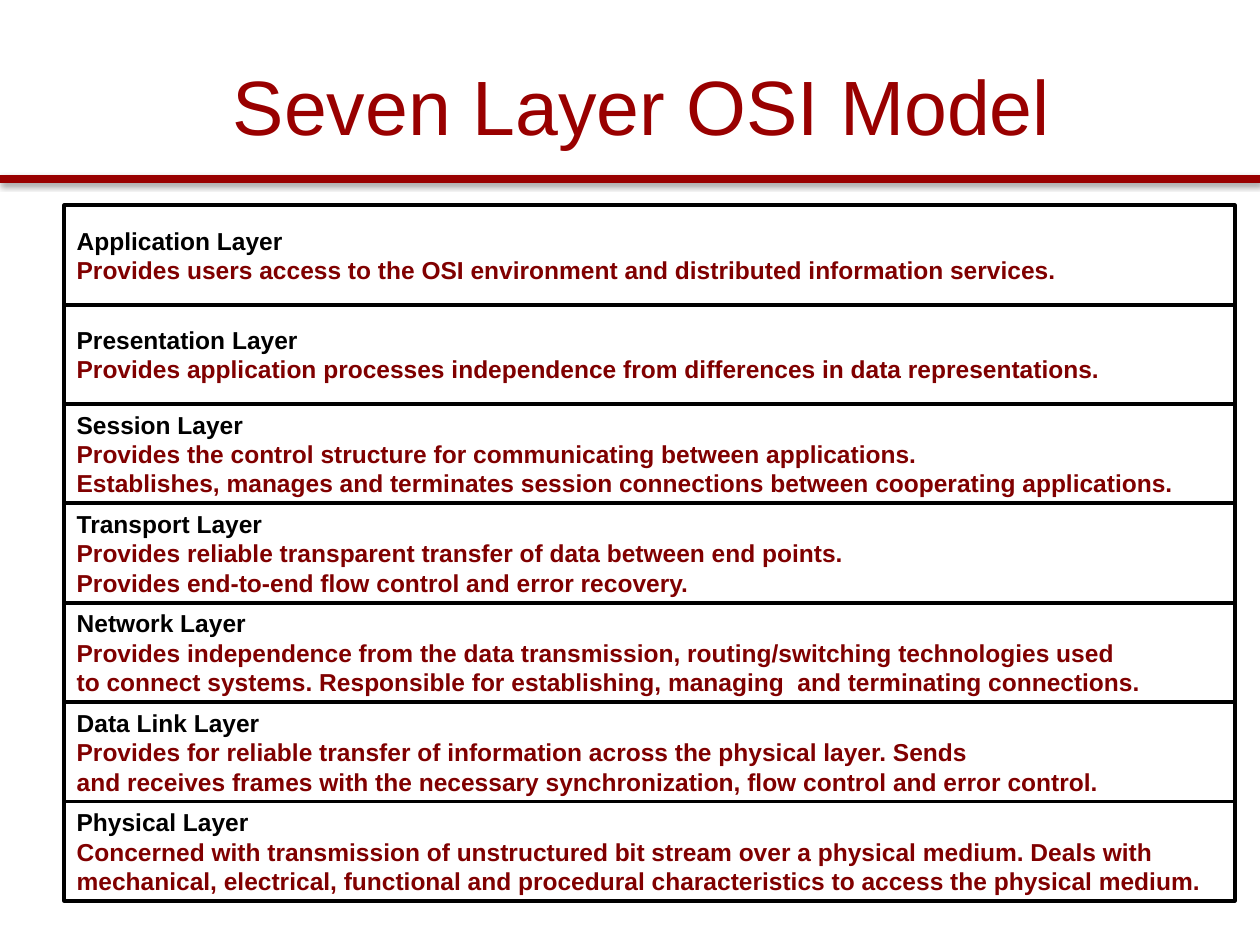
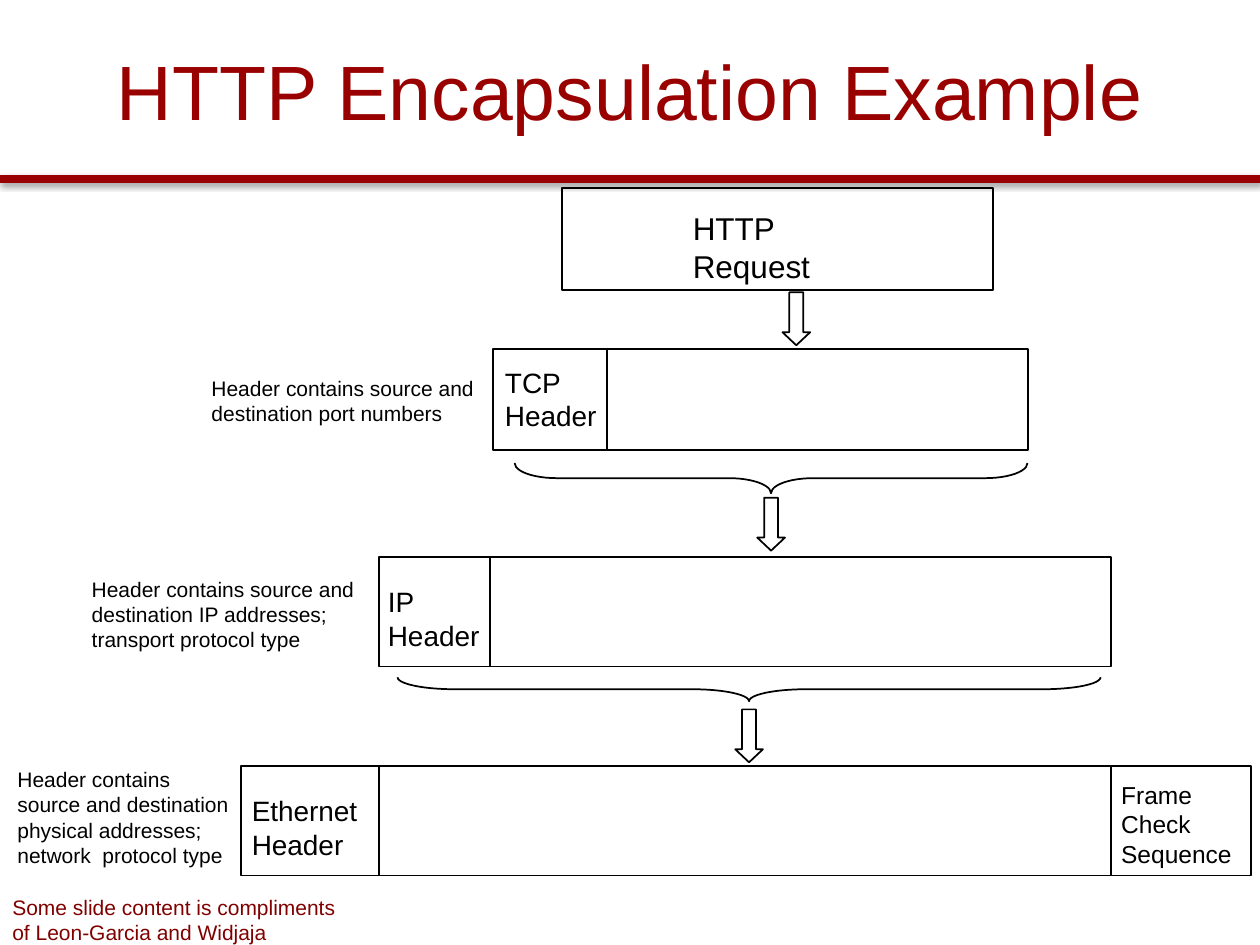
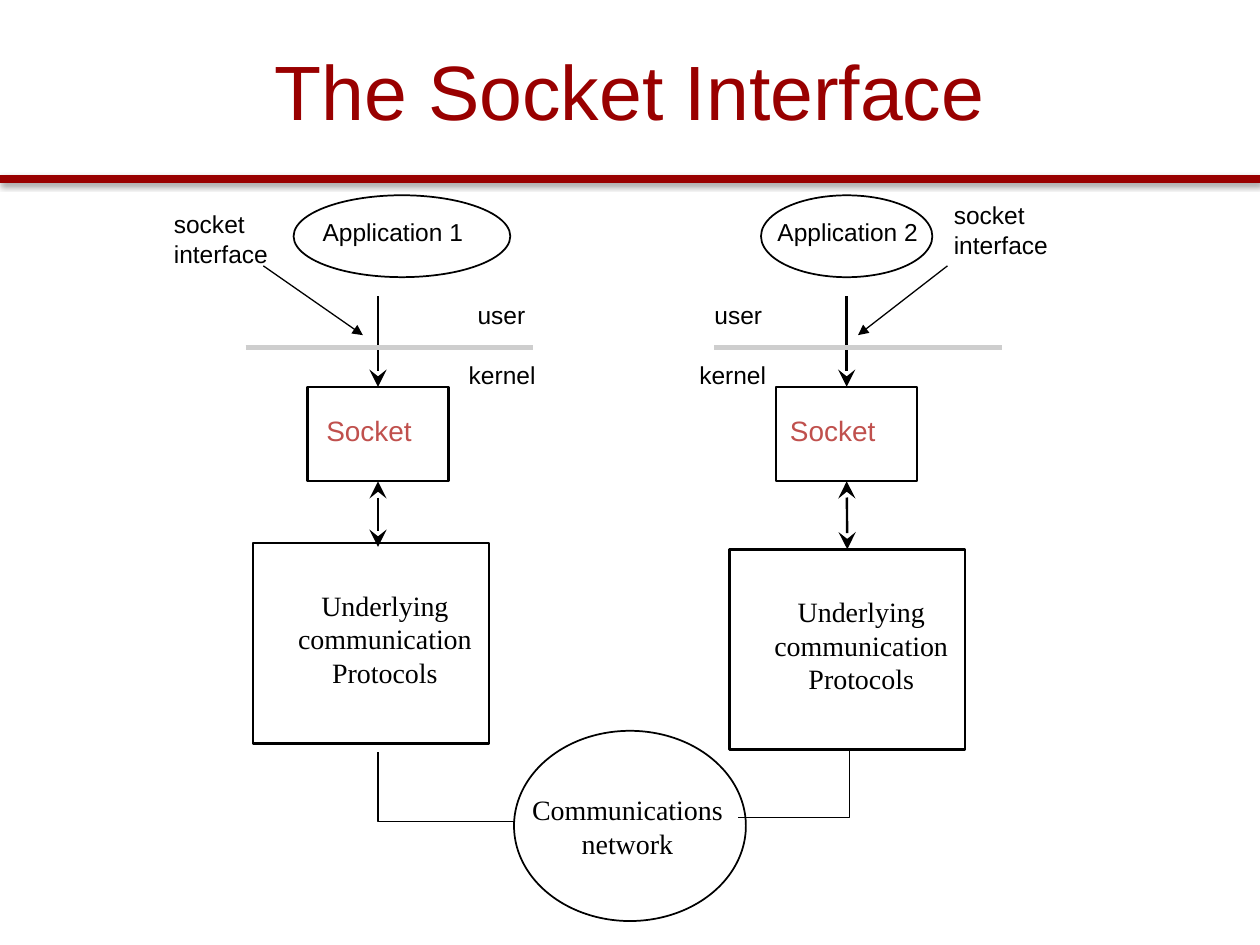
from typing import NamedTuple

from lxml.etree import SubElement
from pptx import Presentation
from pptx.dml.color import RGBColor
from pptx.enum.shapes import MSO_CONNECTOR, MSO_SHAPE as Preset
from pptx.enum.text import MSO_ANCHOR as Anchor, PP_ALIGN as Align
from pptx.oxml.ns import qn
from pptx.util import Inches, Pt

COLUMNS, ROWS = 100, 75
CELL = Inches(0.1)
BLACK = RGBColor(0x00, 0x00, 0x00)
CRIMSON = RGBColor(0x99, 0x00, 0x00)
MAROON = RGBColor(0x80, 0x00, 0x00)
BRICK = RGBColor(0xC0, 0x50, 0x4D)
SILVER = RGBColor(0xCE, 0xCE, 0xCE)
SANS, SERIF = "Arial", "Times New Roman"
BAND_ROW = 14.2
AXIS = 17


class Box(NamedTuple):
    """A region measured in grid columns and rows."""
    left: float
    top: float
    width: float
    height: float

    def inner(self, left, top, width, height):
        """Return a region placed from this one's corner."""
        return Box(self.left + left, self.top + top, width, height)

    def point(self, column, row):
        """Return a grid point placed from this region's corner."""
        return self.left + column, self.top + row


class Layer(NamedTuple):
    """One protocol unit; its parts are placed from the frame's corner."""
    frame: Box
    header: str
    header_box: Box
    dividers: tuple
    note: str
    note_box: Box


class Station(NamedTuple):
    """One computer; its parts are placed from the region's corner."""
    region: Box
    application: str
    bubble: Box
    application_column: float
    socket_column: float
    user_column: float
    kernel_column: float
    protocols: Box
    interface: tuple
    pointer: tuple
    cable: tuple


OSI_LAYERS = (
    "Application Layer\nProvides users access to the OSI environment and distributed information services.",
    "Presentation Layer\nProvides application processes independence from differences in data representations.",
    "Session Layer\nProvides the control structure for communicating between applications.\n"
    "Establishes, manages and terminates session connections between cooperating applications.",
    "Transport Layer\nProvides reliable transparent transfer of data between end points.\n"
    "Provides end-to-end flow control and error recovery.",
    "Network Layer\nProvides independence from the data transmission, routing/switching technologies used\n"
    "to connect systems. Responsible for establishing, managing  and terminating connections.",
    "Data Link Layer\nProvides for reliable transfer of information across the physical layer. Sends\n"
    "and receives frames with the necessary synchronization, flow control and error control.",
    "Physical Layer\nConcerned with transmission of unstructured bit stream over a physical medium. Deals with\n"
    "mechanical, electrical, functional and procedural characteristics to access the physical medium.",
)

TCP = Layer(Box(39.1, 27.7, 42.5, 8), "TCP Header", Box(0, 0.8, 10.3, 6.3), (9.1,),
            "Header contains source and destination port numbers", Box(-23.3, 1.6, 23.1, 5))
IP = Layer(Box(30.1, 44.2, 58.1, 8.7), "IP Header", Box(-0.3, 1.7, 9.9, 6.3), (8.8,),
           "Header contains source and destination IP addresses; transport protocol type",
           Box(-23.8, 1, 23.6, 7.1))
ETHERNET = Layer(Box(19.1, 60.8, 80.2, 8.7), "Ethernet Header", Box(-0.1, 1.7, 11.6, 6.3), (11, 69.1),
                 "Header contains source and destination physical addresses; network  protocol type",
                 Box(-18.7, -0.5, 19, 9.1))

STATIONS = (
    Station(Box(13, 15, 32, 52), "Application 1", Box(10.3, 0.5, 17.2, 6.5), 12.6, 12.9, 24.9, 24.2,
            Box(7.1, 28.1, 18.7, 15.9), (0.8, 1.6), ((7.9, 6.1), (15.8, 11.6)),
            ((17, 44.7), (17, 50.2), (27.8, 50.2))),
    Station(Box(50.2, 15, 34, 52), "Application 2", Box(10.2, 0.5, 13.6, 6.5), 11.5, 12.5, 6.5, 5.3,
            Box(7.7, 28.6, 18.7, 15.9), (25.5, 0.9), ((25, 6.1), (17.9, 11.6)),
            ((17.2, 44.6), (17.2, 49.9), (8.4, 49.9))),
)


def emu(lengths):
    """Turn grid lengths into slide units."""
    return [round(length * CELL) for length in lengths]


def write(holder, text, size=14, color=BLACK, lead_color=None, font=SANS, bold=False,
          align=Align.LEFT, anchor=Anchor.TOP, inset=(0.1, 0.05)):
    """Fill a shape with formatted text, one paragraph per line."""
    frame = holder.text_frame
    frame.word_wrap = True
    frame.vertical_anchor = anchor
    frame.margin_left = frame.margin_right = Inches(inset[0])
    frame.margin_top = frame.margin_bottom = Inches(inset[1])
    frame.text = text
    for index, paragraph in enumerate(frame.paragraphs):
        paragraph.alignment = align
        paragraph.font.size = Pt(size)
        paragraph.font.name = font
        paragraph.font.bold = bold
        paragraph.font.color.rgb = lead_color if lead_color is not None and index == 0 else color


def label(slide, text, box, **style):
    """Add a text box."""
    write(slide.shapes.add_textbox(*emu(box)), text, **style)


def outline(shape, width):
    """Give a shape a plain black outline and no fill."""
    shape.shadow.inherit = False
    shape.fill.background()
    shape.line.color.rgb = BLACK
    shape.line.width = Pt(width)
    return shape


def draw(slide, preset, box, width=1.0):
    """Add an outlined preset shape."""
    return outline(slide.shapes.add_shape(preset, *emu(box)), width)


def connect(slide, start, end, width=1.0, color=BLACK, head=None, tail=None, size="med",
            source=None, target=None):
    """Add a straight line, joined to a source's bottom or a target's top."""
    line = slide.shapes.add_connector(MSO_CONNECTOR.STRAIGHT, *emu(start + end))
    if source is not None:
        line.begin_connect(source, 2)
    if target is not None:
        line.end_connect(target, 0)
    line.line.color.rgb = color
    line.line.width = Pt(width)
    stroke = line._element.spPr.find(qn("a:ln"))
    for tag, kind in (("a:headEnd", head), ("a:tailEnd", tail)):
        if kind:
            SubElement(stroke, qn(tag), type=kind, w=size, len=size)
    SubElement(line._element.spPr, qn("a:effectLst"))
    return line


def band(slide):
    """Draw the shadowed rule under the title."""
    rule = connect(slide, (0, BAND_ROW), (COLUMNS, BAND_ROW), 5, CRIMSON)
    effects = rule._element.spPr.find(qn("a:effectLst"))
    shadow = SubElement(effects, qn("a:outerShdw"), blurRad=str(Pt(3.1)), dist=str(Pt(1.6)),
                        dir="5400000", rotWithShape="0")
    tint = SubElement(shadow, qn("a:srgbClr"), val="000000")
    SubElement(tint, qn("a:alpha"), val="38000")


def titled_slide(deck, title, box=Box(5, 0.9, 90, 12.5)):
    """Start a slide with the shared band and title."""
    slide = deck.slides.add_slide(deck.slide_layouts[6])
    band(slide)
    label(slide, title, box, size=44, color=CRIMSON, align=Align.CENTER, anchor=Anchor.MIDDLE)
    return slide


def layer_stack(slide, box):
    """Stack the OSI layers in equal rows."""
    height = box.height / len(OSI_LAYERS)
    for row, text in enumerate(OSI_LAYERS):
        cell = draw(slide, Preset.RECTANGLE, box.inner(0, row * height, box.width, height), 2.25)
        write(cell, text, color=MAROON, lead_color=BLACK, bold=True, anchor=Anchor.MIDDLE)


def protocol_unit(slide, layer):
    """Draw a protocol unit with its header, dividers and note."""
    frame = layer.frame
    draw(slide, Preset.RECTANGLE, frame)
    for column in layer.dividers:
        connect(slide, frame.point(column, 0), frame.point(column, frame.height))
    label(slide, layer.header, frame.inner(*layer.header_box), size=16)
    label(slide, layer.note, frame.inner(*layer.note_box), size=12, anchor=Anchor.MIDDLE)


def down_arrow(slide, center, top):
    """Draw a block arrow to the next unit."""
    arrow = draw(slide, Preset.DOWN_ARROW, Box(center - 1.1, top, 2.2, 4.2))
    arrow.adjustments[1] = 0.47


def brace_below(slide, box, curl, gap):
    """Draw a brace that opens upward, and an arrow under its tip."""
    center = box.left + box.width / 2
    middle = box.top + box.height / 2
    turned = Box(center - box.height / 2, middle - box.width / 2, box.height, box.width)
    brace = draw(slide, Preset.LEFT_BRACE, turned)
    brace.rotation = 270
    brace.adjustments[0] = curl
    down_arrow(slide, center, box.top + box.height + gap)


def request(slide, box):
    """Draw the HTTP request and its arrow."""
    draw(slide, Preset.RECTANGLE, box)
    label(slide, "HTTP Request", box.inner(9.4, 1.2, 14, 6.6), size=18)
    down_arrow(slide, box.left + 18.6, box.top + box.height + 0.2)


def station(slide, side):
    """Draw one application, its socket and its protocols."""
    region = side.region
    flush = {"inset": (0, 0)}
    draw(slide, Preset.OVAL, region.inner(*side.bubble))
    label(slide, side.application, region.inner(side.application_column, 2.2, 12.5, 2.8), **flush)
    socket = draw(slide, Preset.RECTANGLE, region.inner(AXIS - 5.6, 15.7, 11.2, 7.5), 1.35)
    label(slide, "Socket", region.inner(side.socket_column, 17.8, 9.4, 3.2), size=16, color=BRICK, **flush)
    protocols_box = region.inner(*side.protocols)
    protocols = draw(slide, Preset.RECTANGLE, protocols_box, 1.35)
    label(slide, "Underlying communication Protocols", protocols_box.inner(1.85, 3.1, 17.2, 9),
          size=16, font=SERIF, align=Align.CENTER, anchor=Anchor.MIDDLE)

    centered = abs(side.protocols.left + side.protocols.width / 2 - AXIS) < 0.1
    arrow = {"width": 1.35, "tail": "stealth", "size": "lg"}
    connect(slide, region.point(AXIS, 8.5), region.point(AXIS, 15.7), target=socket, **arrow)
    connect(slide, region.point(AXIS, 23.2), region.point(AXIS, 28.4), head="stealth",
            source=socket, target=protocols if centered else None, **arrow)

    connect(slide, region.point(AXIS - 10.5, 12.6), region.point(AXIS + 12.3, 12.6), 2.7, SILVER)
    label(slide, "user", region.inner(side.user_column, 8.8, 4.2, 2.7), **flush)
    label(slide, "kernel", region.inner(side.kernel_column, 13.6, 7, 2.7), **flush)
    label(slide, "socket interface", region.inner(*side.interface, 8.6, 4.7), **flush)
    start, end = side.pointer
    connect(slide, region.point(*start), region.point(*end), 0.75, tail="triangle")

    first, *rest = [emu(region.point(*spot)) for spot in side.cable]
    cable = slide.shapes.build_freeform(*first)
    cable.add_line_segments(rest, close=False)
    outline(cable.convert_to_shape(), 0.7)


def network(slide, box):
    """Draw the shared network."""
    draw(slide, Preset.OVAL, box)
    label(slide, "Communications network", box.inner(-0.7, 4.4, 19.4, 6.4), size=16, font=SERIF,
          align=Align.CENTER, anchor=Anchor.MIDDLE)


def osi_slide(deck):
    """Build the layer overview."""
    slide = titled_slide(deck, "Seven Layer OSI Model", Box(2.9, 4, 96.1, 8.7))
    layer_stack(slide, Box(5.1, 16.3, 92.9, 55.2))


def encapsulation_slide(deck):
    """Build the encapsulation steps."""
    slide = titled_slide(deck, "HTTP Encapsulation Example")
    request(slide, Box(44.6, 14.9, 34.2, 8.1))
    for layer in (TCP, IP, ETHERNET):
        protocol_unit(slide, layer)
    brace_below(slide, TCP.frame.inner(1.75, 9.05, 40.7, 2.4), 1.39, 0.35)
    brace_below(slide, IP.frame.inner(1.45, 9.55, 55.8, 1.9), 2.39, 0.65)
    label(slide, "Frame Check Sequence", ETHERNET.frame.inner(68.9, 0.6, 11.3, 8.1))
    label(slide, "Some slide content is compliments of Leon-Garcia and Widjaja",
          Box(0, 71, 27.7, 4), size=12, color=MAROON, anchor=Anchor.MIDDLE)


def socket_slide(deck):
    """Build the socket diagram."""
    slide = titled_slide(deck, "The Socket Interface")
    for side in STATIONS:
        station(slide, side)
    network(slide, Box(40.8, 58, 18.4, 15.1))


def main():
    """Build and save the deck."""
    deck = Presentation()
    deck.slide_width, deck.slide_height = emu((COLUMNS, ROWS))
    for build in (osi_slide, encapsulation_slide, socket_slide):
        build(deck)
    deck.save("out.pptx")


if __name__ == "__main__":
    main()
